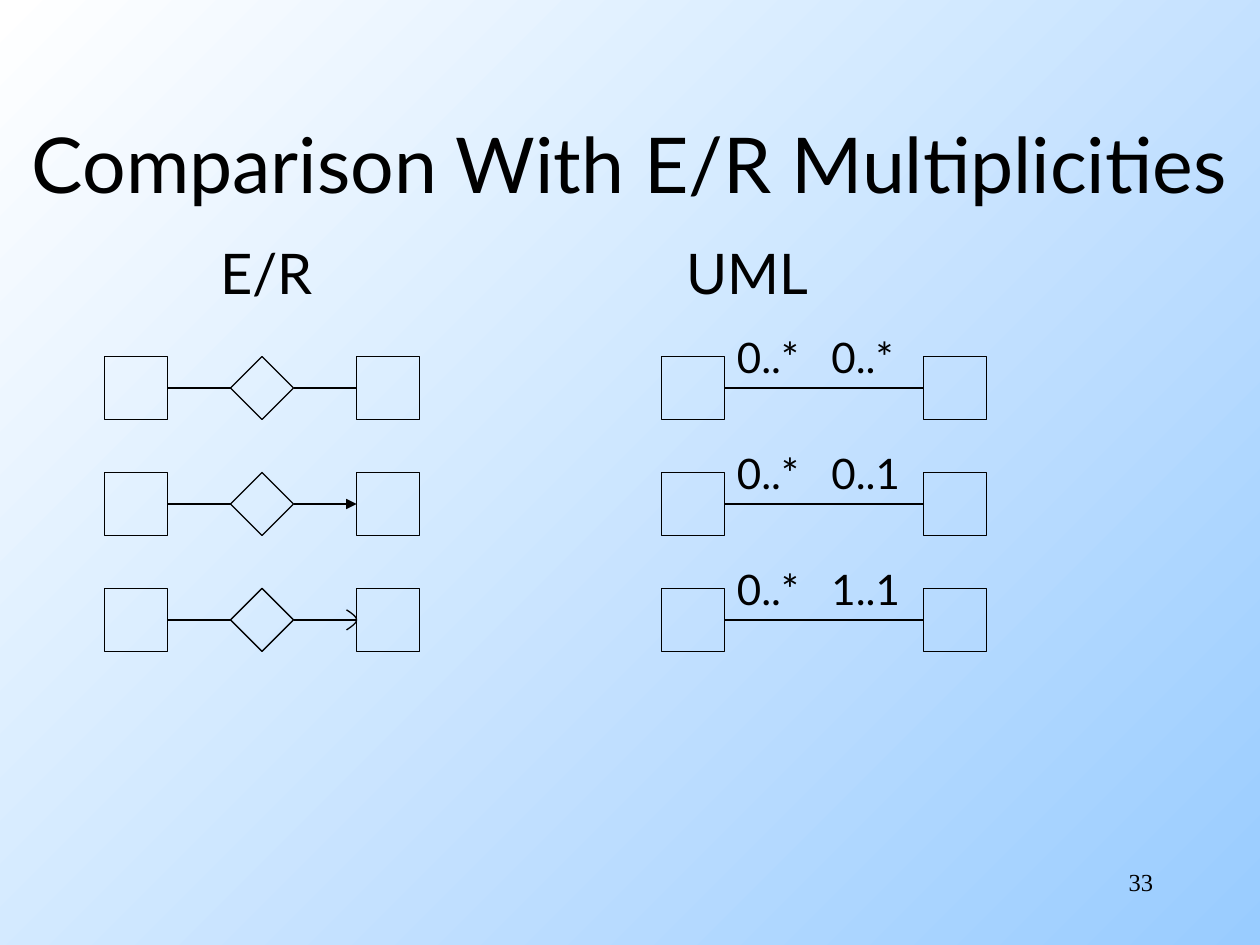
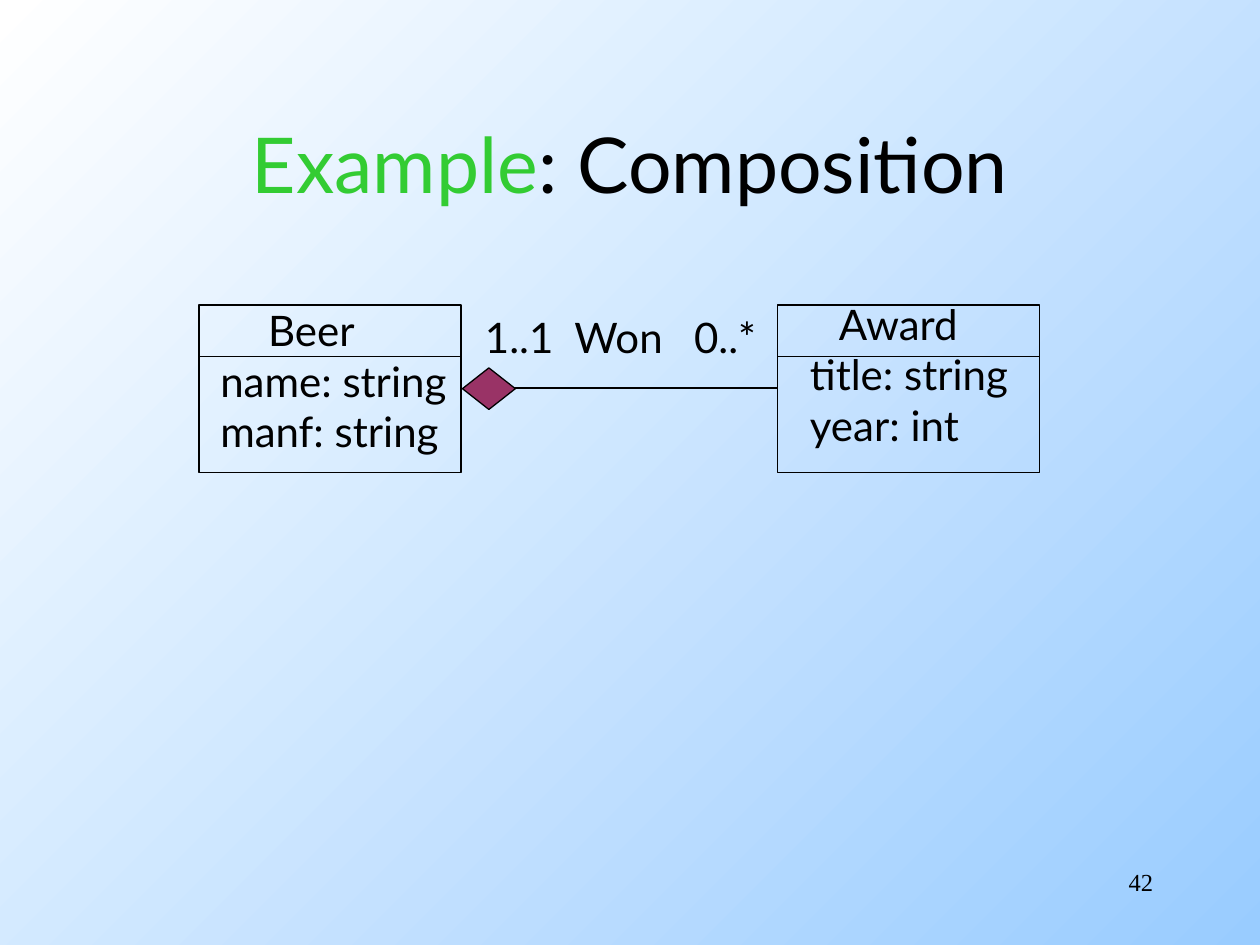
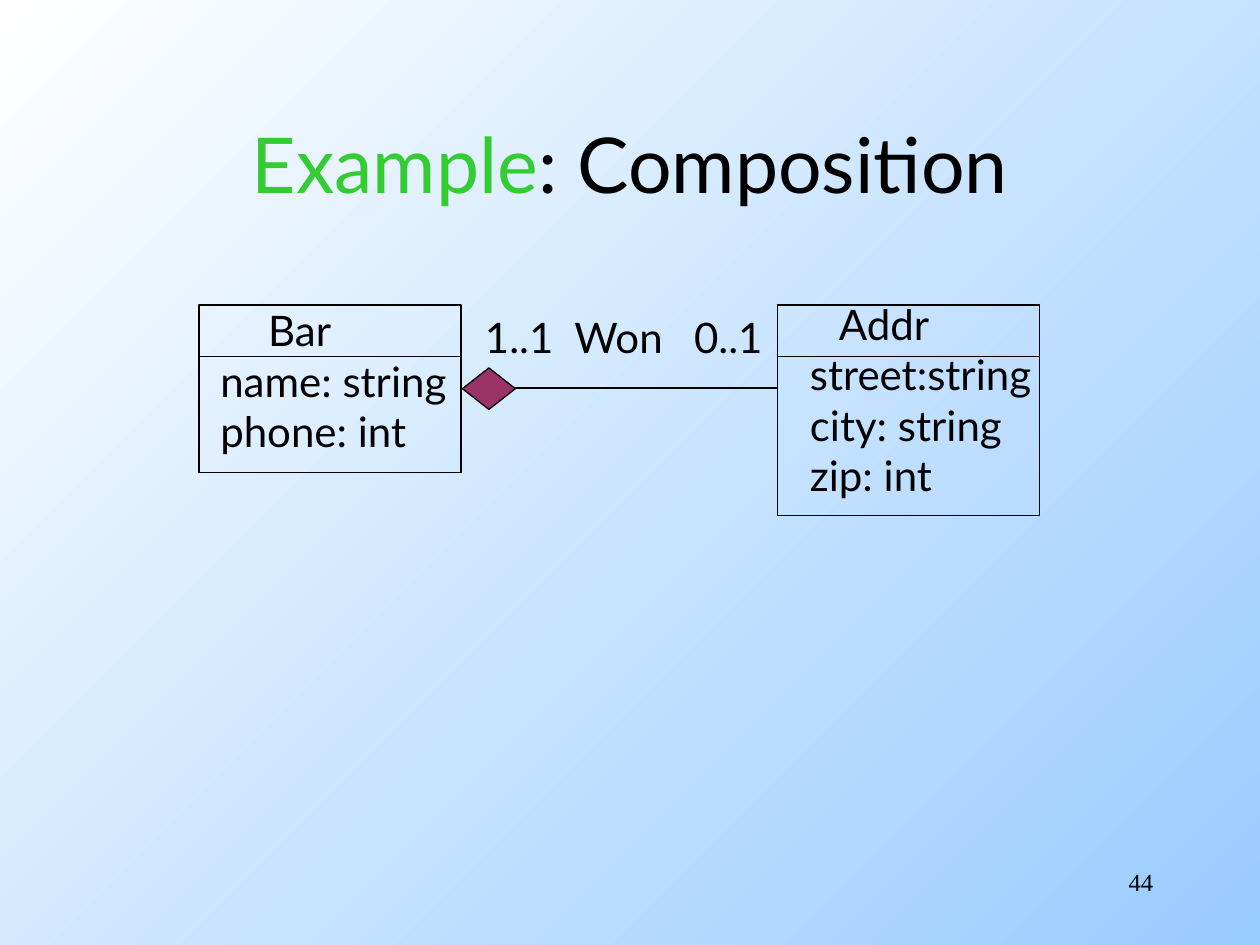
from dataclasses import dataclass

import lxml.etree
import pptx
import pptx.dml.color
import pptx.enum.shapes
import pptx.enum.text
import pptx.oxml.ns
import pptx.util
from pptx.util import Inches

COLORS = {
    "ink": "000000",
    "example": "33CC33",
    "composition": "993366",
    "sky_start": "FFFFFF",
    "sky_end": "99CCFF",
}
FONT = "Lato"
NUMBER_FONT = "Times New Roman"
SHAPES = pptx.enum.shapes.MSO_SHAPE
ALIGN = pptx.enum.text.PP_ALIGN
qn = pptx.oxml.ns.qn


@dataclass(frozen=True)
class Multiplicity:
    ends: str
    arrow: str = ""


@dataclass(frozen=True)
class UmlClass:
    name: str
    attributes: tuple[str, ...]
    left: float
    height: float
    text_left: float
    text_top: float
    text_width: float
    name_indent: float


@dataclass(frozen=True)
class Composition:
    number: int
    owner: UmlClass
    owned: UmlClass
    label: str


def rgb(name: str) -> pptx.dml.color.RGBColor:
    return pptx.dml.color.RGBColor.from_string(COLORS[name])


def style(paragraph, size: int, font: str = FONT) -> None:
    paragraph.font.size = pptx.util.Pt(size)
    paragraph.font.name = font
    paragraph.font.color.rgb = rgb("ink")


def outline(shape) -> None:
    shape.line.color.rgb = rgb("ink")
    shape.line.width = pptx.util.Pt(0.75)


def add_text(slide, lines: tuple[str, ...], left: float, top: float, width: float,
             height: float, size: int = 24, font: str = FONT):
    box = slide.shapes.add_textbox(Inches(left), Inches(top), Inches(width), Inches(height))
    frame = box.text_frame
    frame.word_wrap = True
    frame.text = "\n".join(lines)
    for paragraph in frame.paragraphs:
        style(paragraph, size, font)
    return frame


def add_tabbed(slide, text: str, left: float, top: float, width: float, height: float,
               stops: tuple[float, ...], size: int = 24) -> None:
    frame = add_text(slide, (text,), left, top, width, height, size)
    properties = frame.paragraphs[0]._p.get_or_add_pPr()
    tabs = lxml.etree.Element(qn("a:tabLst"))
    for stop in stops:
        lxml.etree.SubElement(tabs, qn("a:tab"), pos=str(Inches(stop)), algn="l")
    properties.insert(0, tabs)


def add_outlined(slide, kind, left: float, top: float, width: float, height: float,
                 fill: str = "") -> None:
    shape = slide.shapes.add_shape(kind, Inches(left), Inches(top), Inches(width), Inches(height))
    shape.shadow.inherit = False
    if fill:
        shape.fill.solid()
        shape.fill.fore_color.rgb = rgb(fill)
    else:
        shape.fill.background()
    outline(shape)


def add_line(slide, start: float, end: float, y: float, arrow: str = "") -> None:
    line = slide.shapes.add_connector(
        pptx.enum.shapes.MSO_CONNECTOR.STRAIGHT,
        Inches(start), Inches(y), Inches(end), Inches(y))
    outline(line)
    properties = line._element.spPr
    if arrow:
        lxml.etree.SubElement(properties.find(qn("a:ln")), qn("a:tailEnd"), type=arrow)
    lxml.etree.SubElement(properties, qn("a:effectLst"))


def add_rounded_head(slide, tip: float, y: float) -> None:
    depth, half_height, steps = 0.08, 0.08, 8
    points = []
    for step in range(-steps, steps + 1):
        reach = 1 - abs(step) / steps
        bow = 1.5 * reach - 0.5 * reach ** 3
        points.append((Inches(tip - depth + depth * bow), Inches(y + half_height * step / steps)))
    builder = slide.shapes.build_freeform(*points[0])
    builder.add_line_segments(points[1:], close=False)
    head = builder.convert_to_shape()
    head.shadow.inherit = False
    head.fill.background()
    outline(head)


def add_slide(deck, number: int, title_runs: tuple[tuple[str, str], ...], title_width: float):
    slide = deck.slides.add_slide(deck.slide_layouts[5])
    title = slide.shapes.title
    title.left, title.top = Inches((10 - title_width) / 2), Inches(0.67)
    title.width, title.height = Inches(title_width), Inches(1.25)
    frame = title.text_frame
    frame.auto_size = pptx.enum.text.MSO_AUTO_SIZE.NONE
    frame.vertical_anchor = pptx.enum.text.MSO_ANCHOR.MIDDLE
    heading = frame.paragraphs[0]
    heading.alignment = ALIGN.CENTER
    style(heading, 44)
    for text, color in title_runs:
        run = heading.add_run()
        run.text = text
        run.font.color.rgb = rgb(color)
    footer = add_text(slide, (str(number),), 7.17, 6.83, 2.08, 0.5, 14, NUMBER_FONT)
    footer.paragraphs[0].alignment = ALIGN.RIGHT
    return slide


def add_comparison(deck) -> None:
    slide = add_slide(deck, 33, (("Comparison With E/R Multiplicities", "ink"),), 10)
    add_tabbed(slide, "E/R\tUML", 1.65, 1.84, 5.36, 0.63, (3.7,), 32)
    rows = (
        Multiplicity("0..*\t0..*"),
        Multiplicity("0..*\t0..1", "triangle"),
        Multiplicity("0..*\t1..1", "rounded"),
    )
    side = 0.5
    for index, row in enumerate(rows):
        top = 2.83 + index * 0.92
        middle = top + side / 2
        for entity_left in (0.83, 2.83, 5.25, 7.33):
            add_outlined(slide, SHAPES.RECTANGLE, entity_left, top, side, side)
        add_outlined(slide, SHAPES.DIAMOND, 1.83, top, side, side)
        add_line(slide, 1.83, 1.33, middle)
        add_line(slide, 2.33, 2.83, middle, "triangle" if row.arrow == "triangle" else "")
        add_line(slide, 5.75, 7.33, middle)
        add_tabbed(slide, row.ends, 5.75, top - 0.25, 1.65, 0.5, (0.75,))
        if row.arrow == "rounded":
            add_rounded_head(slide, 2.83, middle)


def add_class(slide, uml: UmlClass) -> None:
    width = 2.08
    lines = (uml.name, *uml.attributes)
    frame = add_text(slide, lines, uml.text_left, uml.text_top, uml.text_width,
                     0.1 + 0.4 * len(lines))
    name_properties = frame.paragraphs[0]._p.get_or_add_pPr()
    name_properties.set("marL", str(Inches(uml.name_indent)))
    name_properties.set("indent", "0")
    add_outlined(slide, SHAPES.RECTANGLE, uml.left, 2.42, width, uml.height)
    add_line(slide, uml.left, uml.left + width, 2.83)


def owner_class(name: str, *attributes: str) -> UmlClass:
    return UmlClass(name, attributes, 1.58, 1.33, 1.65, 2.37, 2.1, 0.38)


def owned_class(name: str, height: float, *attributes: str) -> UmlClass:
    return UmlClass(name, attributes, 6.17, height, 6.33, 2.32, 2.0, 0.23)


def add_composition(deck, example: Composition) -> None:
    slide = add_slide(deck, example.number,
                      (("Example", "example"), (": Composition", "ink")), 8.5)
    add_class(slide, example.owner)
    add_class(slide, example.owned)
    add_outlined(slide, SHAPES.DIAMOND, 3.67, 2.92, 0.42, 0.33, "composition")
    add_line(slide, 4.08, 6.17, 3.08)
    add_tabbed(slide, example.label, 3.75, 2.42, 2.52, 0.5, (0.71, 1.66))


def main() -> None:
    deck = pptx.Presentation()
    deck.slide_width, deck.slide_height = Inches(10), Inches(7.5)
    sky = deck.slide_master.background.fill
    sky.gradient()
    sky.gradient_angle = 315
    for stop, color in zip(sky.gradient_stops, ("sky_start", "sky_end")):
        stop.color.rgb = rgb(color)

    add_comparison(deck)
    examples = (
        Composition(42, owner_class("Beer", "name: string", "manf: string"),
                    owned_class("Award", 1.33, "title: string", "year: int"),
                    "1..1\tWon\t0..*"),
        Composition(44, owner_class("Bar", "name: string", "phone: int"),
                    owned_class("Addr", 1.67, "street:string", "city: string", "zip: int"),
                    "1..1\tWon\t0..1"),
    )
    for example in examples:
        add_composition(deck, example)
    deck.save("out.pptx")


if __name__ == "__main__":
    main()
